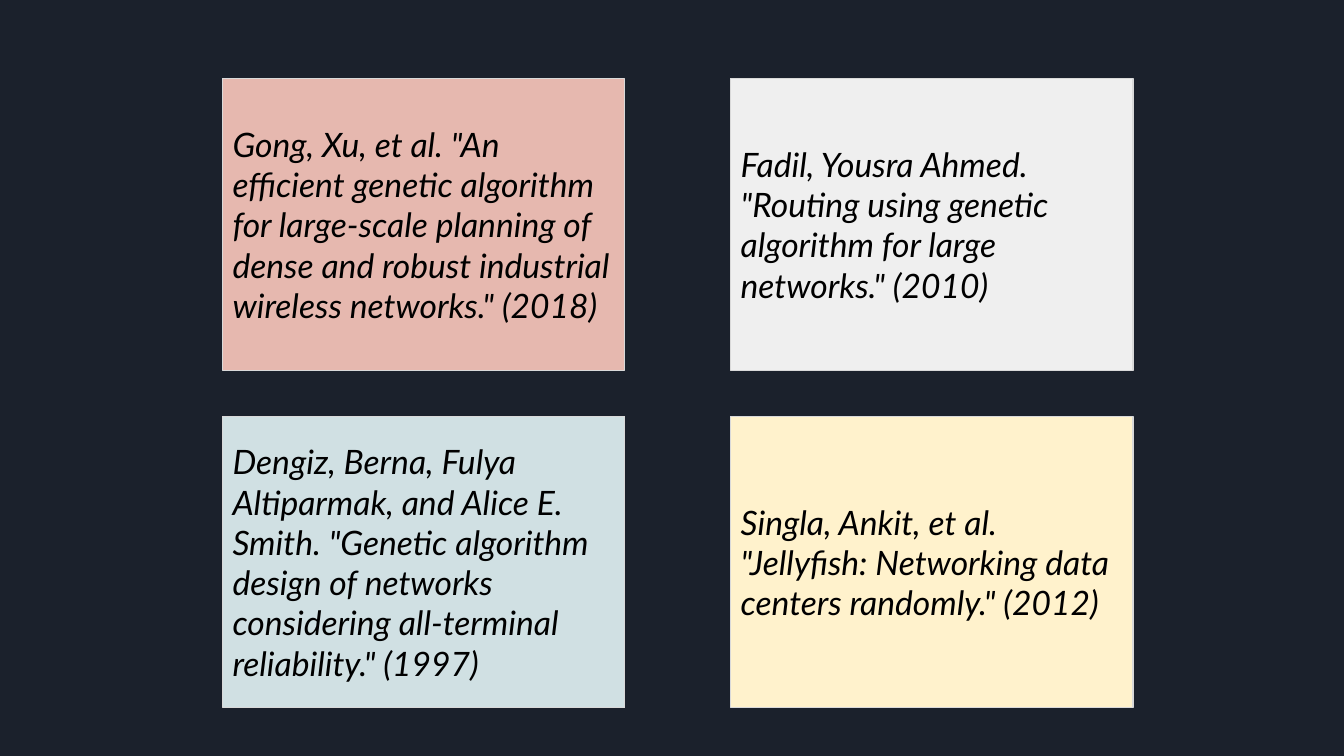
from pptx import Presentation
from pptx.dml.color import RGBColor
from pptx.enum.shapes import MSO_SHAPE
from pptx.enum.text import MSO_ANCHOR, PP_ALIGN
from pptx.util import Pt

# Content: card text and fill name, row by row
CARDS = [
    ('Gong, Xu, et al. "An efficient genetic algorithm for large-scale planning '
     'of dense and robust industrial wireless networks." (2018)', "rose"),
    ('Fadil, Yousra Ahmed. "Routing using genetic algorithm for large networks." '
     '(2010)', "grey"),
    ('Dengiz, Berna, Fulya Altiparmak, and Alice E. Smith. "Genetic algorithm '
     'design of networks considering all-terminal reliability." (1997)', "teal"),
    ('Singla, Ankit, et al. "Jellyfish: Networking data centers randomly." (2012)',
     "cream"),
]
COLORS = {
    "back": "1B212C", "edge": "D9D9D9", "text": "000000",
    "rose": "E6B8AF", "grey": "EFEFEF", "teal": "D0E0E3", "cream": "FFF2CC",
}

# Grid in points
COLS = 2
LEFT, TOP = 159, 56.2
WIDTH, HEIGHT = 287.3, 208.1
STEP_X, STEP_Y = 363, 241.2

# Formats
FRAME = {
    "word_wrap": True, "vertical_anchor": MSO_ANCHOR.MIDDLE,
    "margin_left": Pt(7.2), "margin_right": Pt(7.2),
    "margin_top": Pt(7.2), "margin_bottom": Pt(7.2),
}
FONT = {"name": "Lato", "size": Pt(24), "italic": True}


def paint(fill, name):
    fill.solid()
    fill.fore_color.rgb = RGBColor.from_string(COLORS[name])


def style(item, values):
    for key, value in values.items():
        setattr(item, key, value)


def add_card(slide, index, text, color):
    row, col = divmod(index, COLS)
    card = slide.shapes.add_shape(
        MSO_SHAPE.FLOWCHART_PROCESS,
        Pt(LEFT + col * STEP_X), Pt(TOP + row * STEP_Y), Pt(WIDTH), Pt(HEIGHT))
    card.shadow.inherit = False
    paint(card.fill, color)
    paint(card.line.fill, "edge")
    card.line.width = Pt(0.75)

    # Citation
    frame = card.text_frame
    style(frame, FRAME)
    para = frame.paragraphs[0]
    para.alignment = PP_ALIGN.LEFT
    run = para.add_run()
    run.text = text
    style(run.font, FONT)
    paint(run.font.fill, "text")


def main():
    deck = Presentation()
    deck.slide_width, deck.slide_height = Pt(960), Pt(540)
    slide = deck.slides.add_slide(deck.slide_layouts[6])
    paint(slide.background.fill, "back")

    # Cards
    for index, (text, color) in enumerate(CARDS):
        add_card(slide, index, text, color)
    deck.save("out.pptx")


if __name__ == "__main__":
    main()
